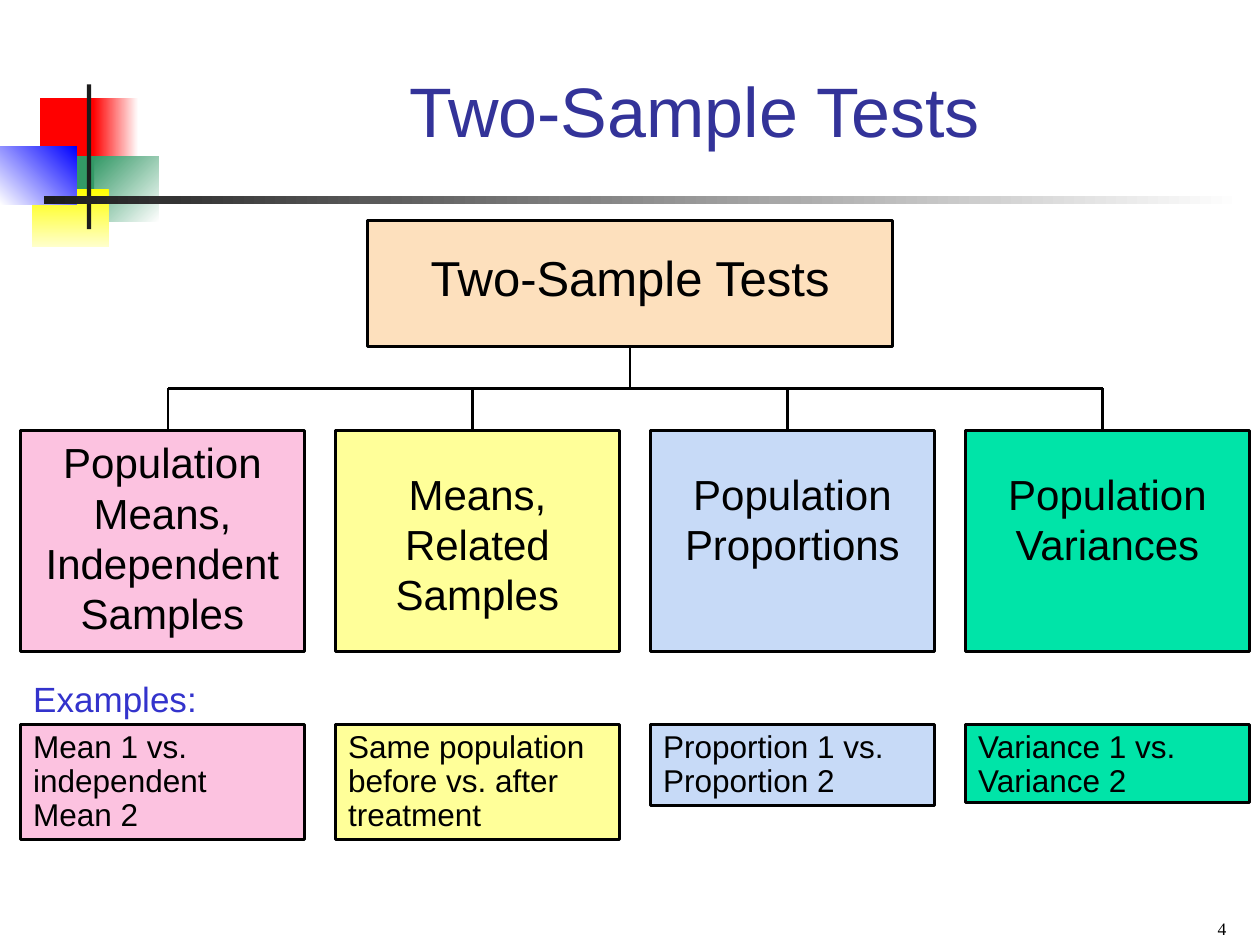
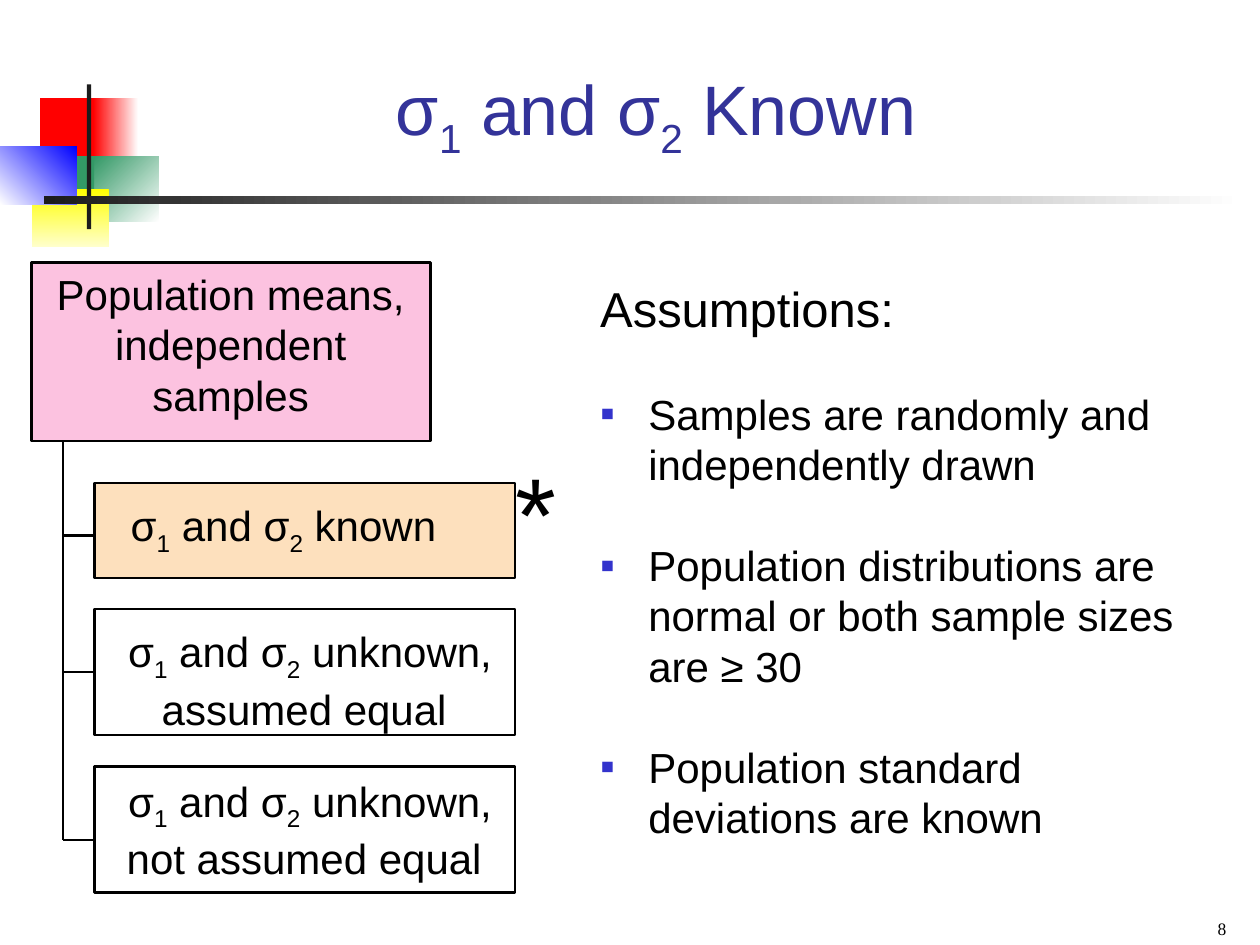
from lxml.etree import SubElement
from pptx import Presentation
from pptx.dml.color import RGBColor
from pptx.enum.shapes import MSO_CONNECTOR, MSO_SHAPE
from pptx.enum.text import MSO_ANCHOR, PP_ALIGN
from pptx.oxml.ns import qn
from pptx.util import Cm, Pt

BLACK, NAVY, BLUE = "000000", "333399", "3333CC"
PEACH, PINK, YELLOW = "FDE0BD", "FCC2E0", "FFFF99"
SKY, GREEN = "C7DAF7", "00E4A8"
LEFT, CENTER, RIGHT = PP_ALIGN.LEFT, PP_ALIGN.CENTER, PP_ALIGN.RIGHT

# place, colours (two make a gradient), gradient angle counter-clockwise
MOTIF = [
    ((0.81, 1.98, 1.22, 1.32), ["FF0000"], 0),
    ((1.88, 1.98, 0.91, 1.32), ["FFFFFF", "FF0000"], 180),
    ((1.9, 3.15, 1.3, 1.32), ["FFFFFF", "339966"], 135),
    ((1.09, 3.15, 0.81, 1.32), ["339966"], 0),
    ((0.64, 3.81, 1.55, 1.17), ["FFFF00", "FFFFCC"], 270),
    ((0, 2.95, 1.55, 1.17), ["0000FF", "FFFFFF"], 225),
    ((1.75, 1.7, 0.09, 2.92), ["1C1C1C"], 0),
    ((0.89, 3.96, 24.16, 0.15), ["FFFFFF", "1C1C1C"], 180),
]


def color(code):
    return RGBColor.from_string(code)


class Deck:
    """Holds the style and the current slide; places are in centimetres."""

    def __init__(self):
        self.prs = Presentation()
        self.prs.slide_width, self.prs.slide_height = Cm(25.4), Cm(19.05)
        self.shapes = None

    def start(self, title, place, number):
        slide = self.prs.slides.add_slide(self.prs.slide_layouts[6])
        self.shapes = slide.shapes
        for spot, fills, angle in MOTIF:
            self.block(spot, fills, angle)
        self.text(place, title, 40, NAVY, CENTER, anchor=MSO_ANCHOR.BOTTOM,
                  spacing=0.8 if "_" not in title else None)
        self.text((19.05, 18.16, 5.92, 0.89), number, 10, align=RIGHT,
                  anchor=MSO_ANCHOR.BOTTOM, face="Times New Roman")

    def block(self, place, fills, angle=0):
        shape = self.shapes.add_shape(MSO_SHAPE.RECTANGLE, *map(Cm, place))
        shape.shadow.inherit = False
        shape.line.fill.background()
        if len(fills) == 2:
            shape.fill.gradient()
            shape.fill.gradient_angle = angle
            for stop, code in zip(shape.fill.gradient_stops, fills):
                stop.color.rgb = color(code)
        elif fills:
            shape.fill.solid()
            shape.fill.fore_color.rgb = color(fills[0])
        else:
            shape.fill.background()
        return shape

    def box(self, place, fill=None):
        shape = self.block(place, [fill] if fill else [])
        shape.line.color.rgb = color(BLACK)
        shape.line.width = Pt(1.5)
        return shape

    def line(self, *ends):
        link = self.shapes.add_connector(MSO_CONNECTOR.STRAIGHT, *map(Cm, ends))
        link.line.color.rgb = color(BLACK)
        link.line.width = Pt(1.5)
        SubElement(link._element.spPr, qn("a:effectLst"))

    def text(self, place, words, size, tint=BLACK, align=LEFT, **style):
        frame = self.shapes.add_textbox(*map(Cm, place)).text_frame
        self.fill(frame, words, size, tint, align, **style)
        return frame

    def fill(self, frame, words, size, tint=BLACK, align=LEFT,
             anchor=MSO_ANCHOR.TOP, spacing=None, face="Arial"):
        frame.word_wrap = True
        frame.vertical_anchor = anchor
        para = frame.paragraphs[0]
        para.alignment = align
        if spacing:
            para.line_spacing = spacing
        self.runs(para, words, size, tint, face)

    def runs(self, para, words, size, tint=BLACK, face="Arial"):
        """Add runs; the character after each underscore is a subscript."""
        first, *rest = words.split("_")
        parts = [(first, False)]
        for part in rest:
            parts += [(part[0], True), (part[1:], False)]
        for part, low in parts:
            run = para.add_run()
            run.text = part
            run.font.size, run.font.name = Pt(size), face
            run.font.color.rgb = color(tint)
            if low:
                run._r.get_or_add_rPr().set("baseline", "-25000")

    def bullet(self, frame, words):
        para = frame.add_paragraph()
        props = para._p.get_or_add_pPr()
        props.set("marL", str(Cm(0.97)))
        props.set("indent", str(-Cm(0.97)))
        tint = SubElement(props, qn("a:buClr"))
        SubElement(tint, qn("a:srgbClr")).set("val", BLUE)
        SubElement(props, qn("a:buFont")).set("typeface", "Arial")
        SubElement(props, qn("a:buChar")).set("char", "▪")
        para.space_before = Pt(28.8)
        self.runs(para, words, 24)


def tests(deck):
    deck.start("Two-Sample Tests", (3.18, 1.27, 21.64, 1.9), "4")
    deck.box((7.41, 4.45, 10.58, 2.54), PEACH)
    deck.text((7.62, 4.87, 10.16, 1.45), "Two-Sample Tests", 28, align=CENTER)
    bar, top = 7.83, 8.68
    deck.line(12.7, 6.99, 12.7, bar)
    deck.line(3.39, bar, 22.23, bar)
    # fill, drop line, text top, name, example height, example
    kinds = [
        (PINK, 3.39, top, "Population Means, Independent Samples",
         2.31, "Mean 1 vs. independent Mean 2"),
        (YELLOW, 9.53, 9.31, "Means, Related Samples",
         2.31, "Same population before vs. after treatment"),
        (SKY, 15.88, 9.31, "Population Proportions",
         1.63, "Proportion 1 vs. Proportion 2"),
        (GREEN, 22.23, 9.31, "Population Variances",
         1.57, "Variance 1 vs. Variance 2"),
    ]
    for i, (fill, drop, head, name, tall, case) in enumerate(kinds):
        left = 0.42 + 6.35 * i
        deck.line(drop, bar, drop, top)
        deck.box((left, top, 5.72, 4.45), fill)
        deck.text((left + 0.21, head, 5.29, 4.3), name, 24, align=CENTER)
        sample = deck.box((left, 14.61, 5.72, tall), fill)
        deck.fill(sample.text_frame, case, 18, spacing=0.9)
    deck.text((0.42, 13.77, 4.24, 0.86), "Examples:", 20, BLUE, spacing=0.7)


def known(deck):
    deck.start("σ_1 and σ_2 Known", (3.18, 0.84, 20.09, 2.54), "8")
    deck.box((0.64, 5.29, 8.04, 3.6), PINK)
    deck.text((0.84, 5.29, 7.62, 3.3), "Population means, independent samples",
              24, align=CENTER)
    trunk, left = 1.27, 1.91
    deck.line(trunk, 8.89, trunk, 16.93)
    # box top, box height, fill, branch, text place, text
    cases = [
        (9.74, 1.91, PEACH, 10.8, (2.33, 9.95, 6.77, 1.42),
         "σ_1 and σ_2 known"),
        (12.28, 2.54, None, 13.55, (2.12, 12.49, 8.26, 2.44),
         "σ_1 and σ_2 unknown, assumed equal "),
        (15.45, 2.54, None, 16.93, (2.12, 15.5, 8.26, 2.44),
         "σ_1 and σ_2 unknown, not assumed equal "),
    ]
    for top, tall, fill, branch, place, words in cases:
        deck.box((left, top, 8.47, tall), fill)
        deck.line(trunk, branch, left, branch)
        deck.text(place, words, 24, align=CENTER)
    deck.text((9.95, 8.89, 1.69, 2.79), "*", 60, align=CENTER)
    frame = deck.text((11.85, 5.5, 12.28, 11.6), "Assumptions:", 28)
    for words in ("Samples are randomly and independently drawn",
                  "Population distributions are normal or both sample sizes are ≥ 30",
                  "Population standard deviations are known"):
        deck.bullet(frame, words)


def main():
    deck = Deck()
    tests(deck)
    known(deck)
    deck.prs.save("out.pptx")


if __name__ == "__main__":
    main()
